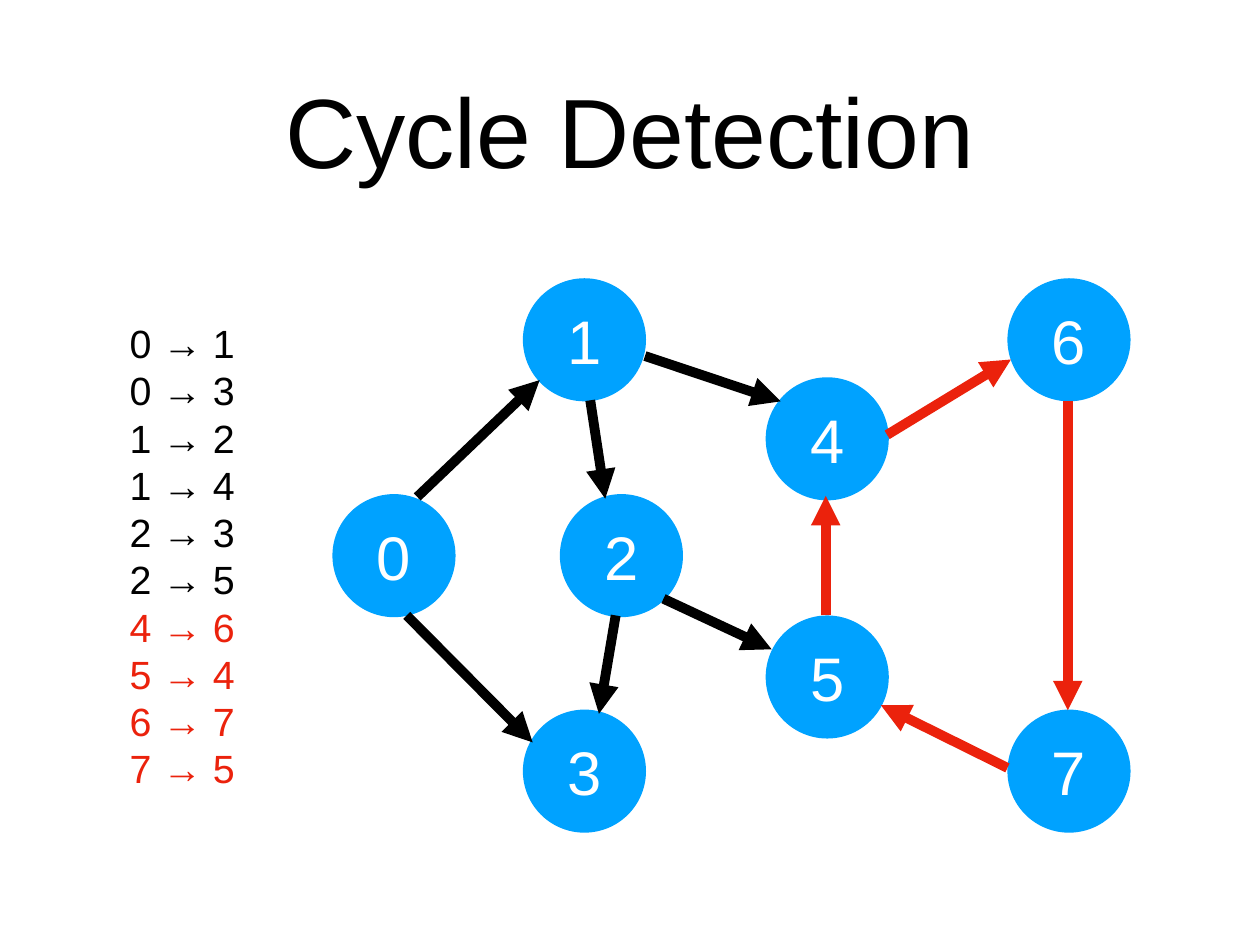
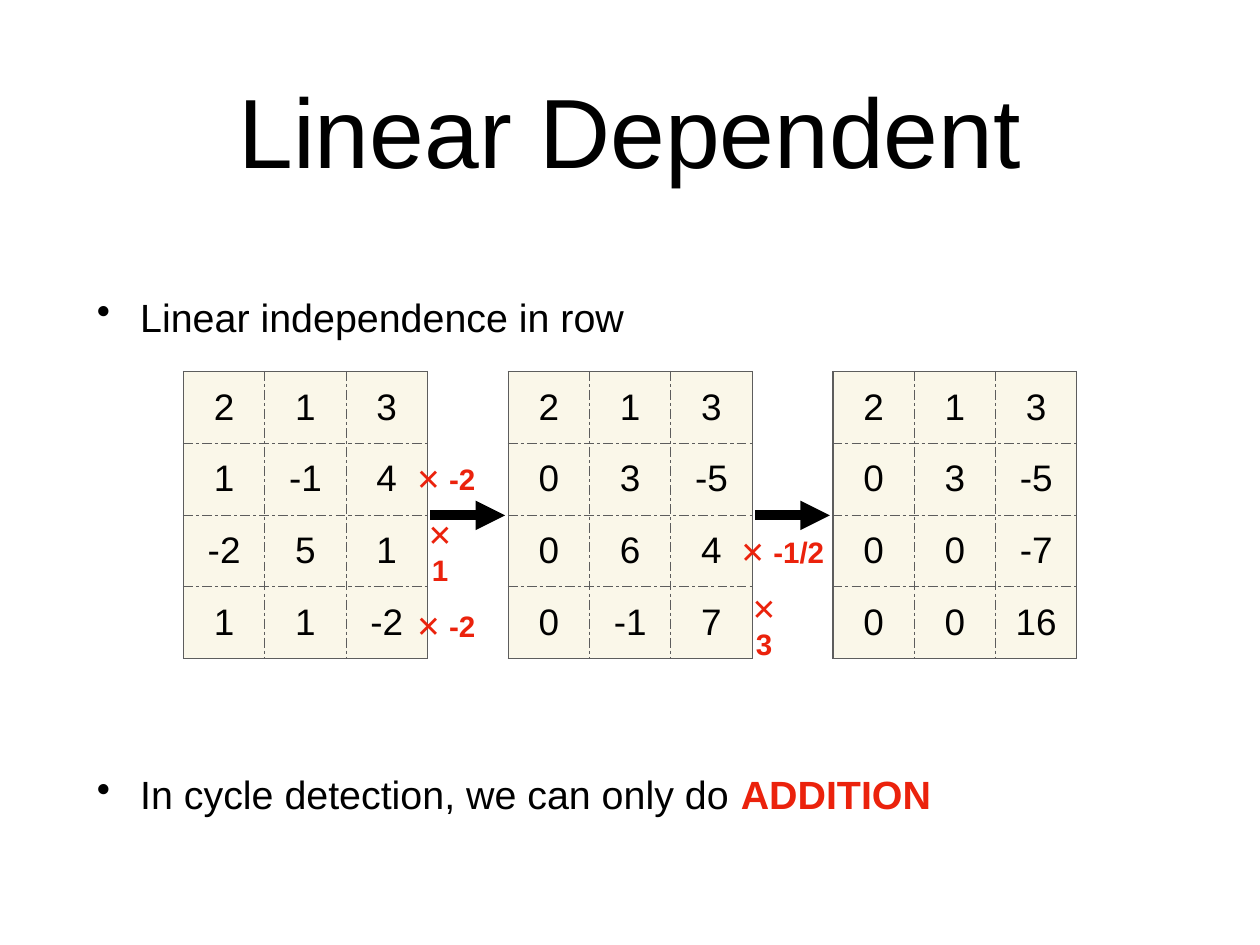
"""Build two slides on cycle detection and linear dependence."""
import lxml.etree
import pptx
import pptx.dml.color
import pptx.enum.shapes
import pptx.enum.text
import pptx.oxml.ns
import pptx.util

Cm = pptx.util.Cm
Pt = pptx.util.Pt
qn = pptx.oxml.ns.qn
ALIGN = pptx.enum.text.PP_ALIGN
MIDDLE = pptx.enum.text.MSO_ANCHOR.MIDDLE

COLORS = {"ink": "000000", "red": "EB220C", "node": "00A2FF", "white": "FFFFFF",
          "cell": "FAF7E9", "rule": "5D5D5D"}
FONT = "Arial"
INSET = Cm(0.14)
LEFT, WIDTH = 2.64, 30.84

NODE = 3.53
NODES = [(9.53, 14.17), (14.99, 7.98), (16.05, 14.17), (14.99, 20.35),
         (21.95, 10.82), (21.95, 17.65), (28.88, 7.98), (28.88, 20.35)]
EDGES = [
    (0, 1, (11.96, 14.25), (15.47, 10.9)),
    (0, 3, (11.66, 17.65), (15.27, 21.29)),
    (1, 2, (16.92, 11.48), (17.35, 14.3)),
    (1, 4, (18.49, 10.21), (22.38, 11.51)),
    (2, 3, (17.65, 17.65), (17.17, 20.47)),
    (2, 5, (19.02, 17.17), (22.12, 18.62)),
    (4, 6, (25.43, 12.47), (28.98, 10.31)),
    (5, 4, (23.67, 17.65), (23.67, 14.22)),
    (6, 7, (30.61, 11.51), (30.61, 20.37)),
    (7, 5, (28.88, 22.02), (25.25, 20.22)),
]
CYCLE = {4, 5, 6, 7}

GRIDS = [
    [(2, 1, 3), (1, -1, 4), (-2, 5, 1), (1, 1, -2)],
    [(2, 1, 3), (0, 3, -5), (0, 6, 4), (0, -1, 7)],
    [(2, 1, 3), (0, 3, -5), (0, 0, -7), (0, 0, 16)],
]
GRID_LEFT, GRID_TOP, GRID_STEP = 5.26, 10.65, 9.31
COL, ROW = 2.33, 2.06
TAGS = [(11.76, 0, 2.04, "✕ -2"), (11.79, 1, 1.65, "✕ 1"), (11.76, 2, 2.04, "✕ -2"),
        (21.03, 1, 2.79, "✕ -1/2"), (21.08, 2, 1.65, "✕ 3")]


def tint(name):
    return pptx.dml.color.RGBColor.from_string(COLORS[name])


def style(para, size, color="ink", bold=False, align=ALIGN.LEFT):
    para.alignment = align
    for run in para.runs:
        font = run.font
        font.name, font.size, font.bold = FONT, Pt(size), bold
        font.color.rgb = tint(color)


def inset(item):
    item.margin_left = item.margin_right = INSET
    item.margin_top = item.margin_bottom = INSET


def frame(shape, text):
    body = shape.text_frame
    body.word_wrap = True
    body.vertical_anchor = MIDDLE
    inset(body)
    body.text = text
    return body


def label(slide, area, text, size, **look):
    box = slide.shapes.add_textbox(*map(Cm, area))
    body = frame(box, text)
    for para in body.paragraphs:
        style(para, size, **look)
    return body


def start(deck, title):
    slide = deck.slides.add_slide(deck.slide_layouts[6])
    label(slide, (LEFT, 0.71, WIDTH, 5.99), title, 80, align=ALIGN.CENTER)
    return slide


def arrow(slide, tail, tip, color="ink"):
    kind = pptx.enum.shapes.MSO_CONNECTOR.STRAIGHT
    link = slide.shapes.add_connector(kind, *map(Cm, tail + tip))
    link.line.width = Pt(8)
    link.line.color.rgb = tint(color)
    props = link.element.spPr
    lxml.etree.SubElement(props.find(qn("a:ln")), qn("a:tailEnd"), type="triangle")
    lxml.etree.SubElement(props, qn("a:effectLst"))


def node(slide, place, text):
    kind = pptx.enum.shapes.MSO_SHAPE.OVAL
    disc = slide.shapes.add_shape(kind, *map(Cm, place + (NODE, NODE)))
    disc.shadow.inherit = False
    disc.fill.solid()
    disc.fill.fore_color.rgb = tint("node")
    disc.line.fill.background()
    style(frame(disc, text).paragraphs[0], 50, "white", align=ALIGN.CENTER)


def bullet(slide, top, text):
    para = label(slide, (LEFT, top, WIDTH, 3.76), text, 32).paragraphs[0]
    props = para._p.get_or_add_pPr()
    props.set("marL", str(Cm(1.24)))
    props.set("indent", str(-Cm(1.24)))
    lxml.etree.SubElement(props, qn("a:buChar"), char="•")
    return para


def border(cell, edges):
    props = cell._tc.get_or_add_tcPr()
    for spot, (side, outer) in enumerate(edges):
        line = lxml.etree.Element(qn("a:ln" + side), w=str(Pt(1)))
        fill = lxml.etree.SubElement(line, qn("a:solidFill"))
        lxml.etree.SubElement(fill, qn("a:srgbClr"), val=COLORS["rule"])
        dash = "solid" if outer else "dashDot"
        lxml.etree.SubElement(line, qn("a:prstDash"), val=dash)
        props.insert(spot, line)


def grid(slide, left, rows):
    high, wide = len(rows), len(rows[0])
    area = (left, GRID_TOP, COL * wide, ROW * high)
    table = slide.shapes.add_table(high, wide, *map(Cm, area)).table
    table.first_row = table.horz_banding = False
    for col in table.columns:
        col.width = Cm(COL)
    for y, row in enumerate(rows):
        table.rows[y].height = Cm(ROW)
        for x, value in enumerate(row):
            cell = table.cell(y, x)
            cell.text_frame.text = str(value)
            style(cell.text_frame.paragraphs[0], 30, align=ALIGN.CENTER)
            cell.vertical_anchor = MIDDLE
            inset(cell)
            cell.fill.solid()
            cell.fill.fore_color.rgb = tint("cell")
            border(cell, [("L", x == 0), ("R", x == wide - 1),
                          ("T", y == 0), ("B", y == high - 1)])


def graph(deck):
    slide = start(deck, "Cycle Detection")
    for number, place in enumerate(NODES):
        node(slide, place, str(number))
    text = "\n".join(f"{a} → {b}" for a, b, *_ in EDGES)
    body = label(slide, (3.58, 7.19, 3.38, 17.48), text, 32)
    for para, (a, b, tail, tip) in zip(body.paragraphs, EDGES):
        color = "red" if {a, b} <= CYCLE else "ink"
        style(para, 32, color)
        para.line_spacing = Pt(38.4)
        arrow(slide, tail, tip, color)


def matrix(deck):
    slide = start(deck, "Linear Dependent")
    bullet(slide, 7.19, "Linear independence in row")
    for step, rows in enumerate(GRIDS):
        grid(slide, GRID_LEFT + step * GRID_STEP, rows)
    for step in range(len(GRIDS) - 1):
        left = 12.34 + step * GRID_STEP
        arrow(slide, (left, 14.78), (left + 2.14, 14.78))
    for left, row, width, text in TAGS:
        label(slide, (left, 13.08 + row * 2.12, width, 1.27), text, 24,
              color="red", bold=True, align=ALIGN.CENTER)
    para = bullet(slide, 20.88, "In cycle detection, we can only do ")
    word = para.add_run()
    word.text = "ADDITION"
    font = word.font
    font.name, font.size, font.bold = FONT, Pt(32), True
    font.color.rgb = tint("red")


def main():
    deck = pptx.Presentation()
    deck.slide_width, deck.slide_height = Cm(36.12), Cm(27.1)
    graph(deck)
    matrix(deck)
    deck.save("out.pptx")


if __name__ == "__main__":
    main()
